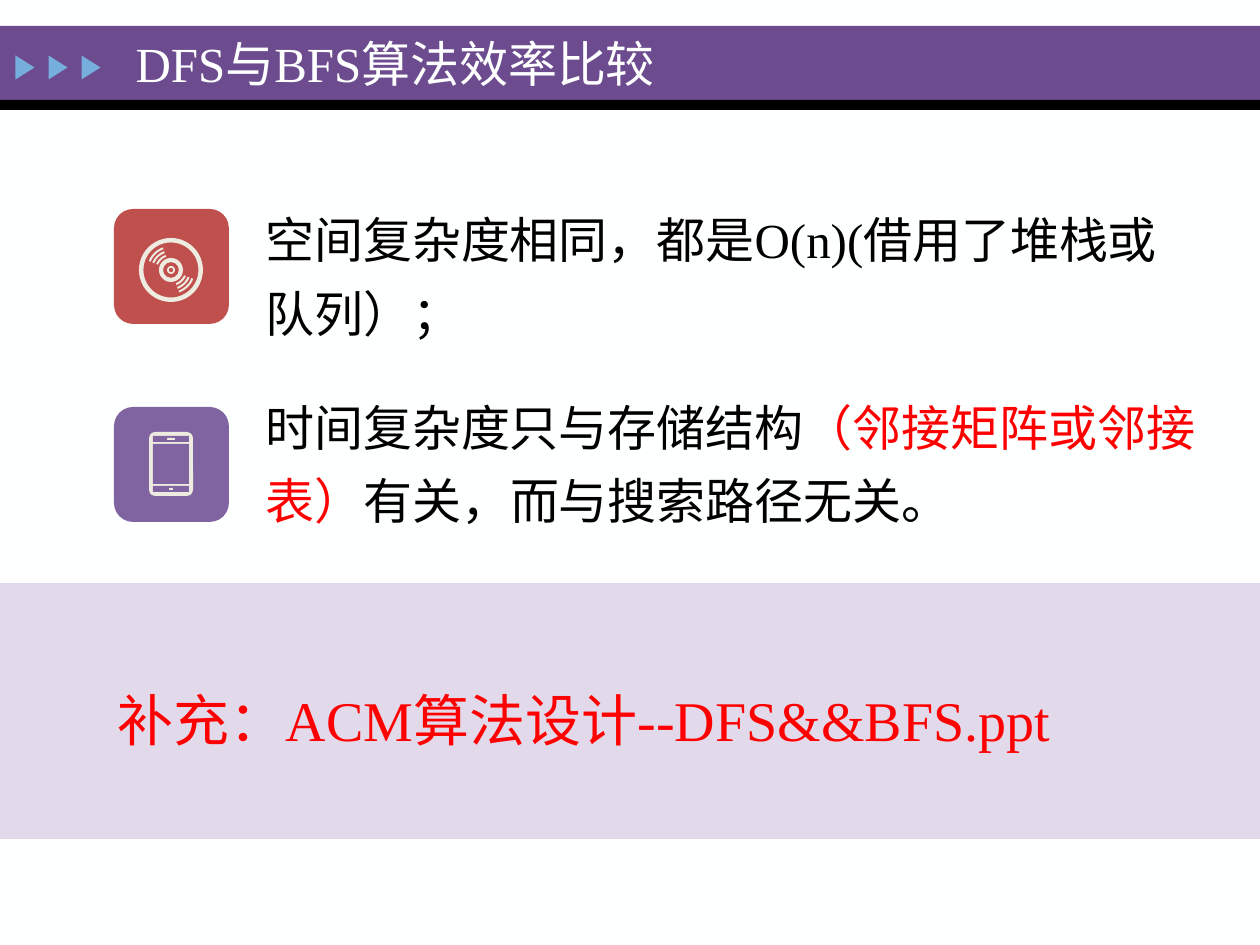
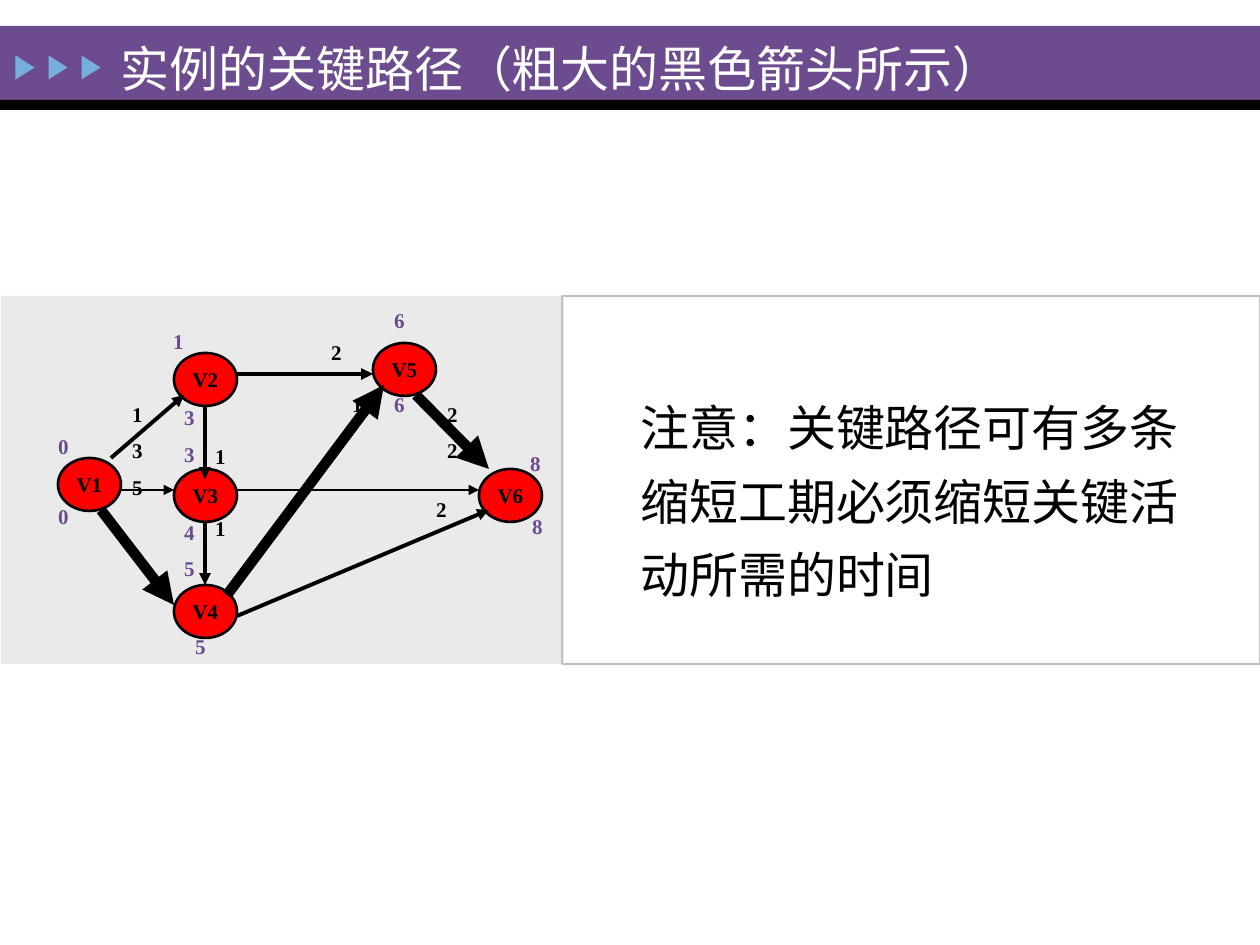
from math import cos, radians, sin

from lxml import etree
from pptx import Presentation
from pptx.dml.color import RGBColor
from pptx.enum.shapes import MSO_CONNECTOR, MSO_SHAPE
from pptx.enum.text import MSO_ANCHOR, MSO_AUTO_SIZE, PP_ALIGN
from pptx.oxml.ns import qn
from pptx.util import Pt

RECT, ROUND, OVAL = MSO_SHAPE.RECTANGLE, MSO_SHAPE.ROUNDED_RECTANGLE, MSO_SHAPE.OVAL
DONUT, TRIANGLE = MSO_SHAPE.DONUT, MSO_SHAPE.ISOSCELES_TRIANGLE
STRAIGHT = MSO_CONNECTOR.STRAIGHT
LEFT, CENTER = PP_ALIGN.LEFT, PP_ALIGN.CENTER
TOP, MIDDLE = MSO_ANCHOR.TOP, MSO_ANCHOR.MIDDLE
FIXED = MSO_AUTO_SIZE.NONE

SCALE = 914400 / 126
WIDTH, HEIGHT = 1260, 945
FONT = "Times New Roman"
COLORS = {
    "paper": "FEFFFF",
    "band": "6C4C8F",
    "black": "000000",
    "arrow": "76AEDD",
    "lilac": "E2D9EB",
    "red": "FF0000",
    "brick": "C0504D",
    "purple": "8064A2",
    "cream": "EEECE1",
    "gray": "EAEAEA",
    "edge": "C0C0C0",
}


def px(*values):
    return [round(value * SCALE) for value in values]


def rgb(name):
    return RGBColor.from_string(COLORS[name])


def paint(shape, fill=None, line=None, weight=1):
    shape.shadow.inherit = False
    if fill:
        shape.fill.solid()
        shape.fill.fore_color.rgb = rgb(fill)
    else:
        shape.fill.background()
    if line:
        shape.line.color.rgb = rgb(line)
        shape.line.width = Pt(weight)
    else:
        shape.line.fill.background()
    return shape


def block(slide, kind, box, fill=None, line=None, weight=1, adjust=None):
    shape = paint(slide.shapes.add_shape(kind, *px(*box)), fill, line, weight)
    if adjust is not None:
        shape.adjustments[0] = adjust
    return shape


def write(shape, paras, size=28, color="black", bold=False, align=LEFT,
          anchor=TOP, gap=0, spacing=1, wrap=True):
    frame = shape.text_frame
    frame.word_wrap = wrap
    frame.auto_size = FIXED
    frame.vertical_anchor = anchor
    for i, para in enumerate(paras):
        line = frame.add_paragraph() if i else frame.paragraphs[0]
        line.alignment = align
        line.line_spacing = spacing
        line.space_before = Pt(gap if i else 0)
        for part in [(para, color)] if isinstance(para, str) else para:
            run = line.add_run()
            run.text, tint = part
            run.font.name = FONT
            run.font.size = Pt(size)
            run.font.bold = bold
            run.font.color.rgb = rgb(tint)


def text(slide, box, paras, **style):
    write(slide.shapes.add_textbox(*px(*box)), paras, **style)


def title(slide, words, box):
    shape = slide.shapes.title
    shape.left, shape.top, shape.width, shape.height = px(*box)
    write(shape, [words], color="paper", anchor=MIDDLE)


def frame(slide):
    shapes = [
        block(slide, RECT, (0, 26, WIDTH, 75), "band"),
        block(slide, RECT, (0, 100, WIDTH, 10), "black"),
    ]
    for i in range(3):
        mark = block(slide, TRIANGLE, (13 + 33 * i, 58, 24, 19), "arrow")
        mark.rotation = 90
        shapes.append(mark)
    tree = slide.slide_layout.element.cSld.spTree
    for i, shape in enumerate(shapes):
        shape.element.nvSpPr.cNvPr.id = 20 + i
        tree.insert(2 + i, shape.element)


def stripe(slide, x, y, radius, start):
    angles = [radians(start + step) for step in range(0, 49, 6)]
    points = [(r * cos(a), r * sin(a))
              for r, arc in ((radius, angles), (radius + 2, angles[::-1]))
              for a in arc]
    spots = [px(x + dx, y + dy) for dx, dy in points]
    path = slide.shapes.build_freeform(*spots[0])
    path.add_line_segments(spots[1:], close=True)
    paint(path.convert_to_shape(), "cream")


def tile(slide, y, fill):
    block(slide, ROUND, (114, y, 115, 115), fill)


def disc(slide, x, y):
    for radius, ring in ((32, 0.07), (12, 0.17), (4, 0.22)):
        box = (x - radius, y - radius, 2 * radius, 2 * radius)
        block(slide, DONUT, box, "cream", adjust=ring)
    for start in (22, 202):
        for radius in (14, 18, 22):
            stripe(slide, x, y, radius, start)


def phone(slide, x, y):
    block(slide, ROUND, (x, y, 44, 64), "cream", adjust=0.14)
    for top, tall in ((4, 6), (12, 40), (54, 6)):
        block(slide, RECT, (x + 4, y + top, 36, tall), "purple")
    for left, top, wide in ((18, 6, 8), (20, 56, 4)):
        block(slide, ROUND, (x + left, y + top, wide, 2), "cream", adjust=0.5)


def node(slide, name, x, y):
    shape = block(slide, OVAL, (x, y, 63, 53), "red", "black", 1.5)
    write(shape, [name], size=12, bold=True, align=CENTER, anchor=MIDDLE, wrap=False)


def arrow(slide, ends, weight):
    link = slide.shapes.add_connector(STRAIGHT, *px(*ends))
    link.line.color.rgb = rgb("black")
    link.line.width = Pt(weight)
    props = link.element.spPr
    etree.SubElement(props.find(qn("a:ln")), qn("a:tailEnd"), type="triangle")
    etree.SubElement(props, qn("a:effectLst"))


def label(slide, words, x, y, color="band", gap=6.5):
    text(slide, (x, y, 73, 38 * len(words)), words, size=12, color=color,
         bold=True, align=CENTER, gap=gap)


def compare(slide):
    title(slide, "DFS与BFS算法效率比较", (123, 28, 704, 70))
    block(slide, RECT, (0, 583, WIDTH, 256), "lilac")
    text(slide, (253, 189, 956, 353), [
        "空间复杂度相同，都是O(n)(借用了堆栈或队列）；",
        [("时间复杂度只与存储结构", "black"),
         ("（邻接矩阵或邻接表）", "red"),
         ("有关，而与搜索路径无关。", "black")],
    ], gap=23, spacing=1.25)
    text(slide, (105, 675, 973, 71), ["补充：ACM算法设计--DFS&&BFS.ppt"],
         size=32, color="red", anchor=MIDDLE, spacing=1.25)
    tile(slide, 209, "brick")
    disc(slide, 171, 270)
    tile(slide, 407, "purple")
    phone(slide, 149, 432)


def route(slide):
    title(slide, "实例的关键路径（粗大的黑色箭头所示）", (108, 32, 1000, 72))
    block(slide, RECT, (1, 296, 563, 368), "gray")
    block(slide, RECT, (562, 296, 698, 368), line="edge", weight=0.75)
    for name, x, y in (("V1", 58, 458), ("V2", 174, 353), ("V3", 174, 469),
                       ("V4", 174, 585), ("V5", 373, 343), ("V6", 479, 469)):
        node(slide, name, x, y)
    for ends, weight in (
        ((237, 374, 373, 374), 2.25),
        ((237, 616, 489, 510), 2.25),
        ((101, 510, 174, 605), 6),
        ((121, 490, 174, 490), 1.5),
        ((205, 406, 205, 479), 2.25),
        ((237, 490, 479, 490), 1.5),
        ((111, 458, 184, 395), 2.25),
        ((416, 395, 489, 469), 6),
        ((227, 595, 384, 385), 6),
        ((205, 522, 205, 585), 2.25),
    ):
        arrow(slide, ends, weight)
    for word, x, y in (
        ("0", 27, 427), ("0", 27, 497), ("1", 142, 322), ("3", 153, 398),
        ("3", 153, 435), ("4", 153, 513), ("5", 153, 549), ("5", 164, 627),
        ("6", 363, 301), ("6", 363, 385), ("8", 499, 444), ("8", 501, 507),
    ):
        label(slide, [word], x, y)
    for words, x, y in ((["1", "3", "5"], 101, 395), (["2", "2"], 416, 395),
                        (["2"], 300, 333), (["2"], 405, 490), (["1"], 321, 385)):
        label(slide, words, x, y, "black")
    label(slide, ["1", "1"], 184, 437, "black", 27)
    text(slide, (628, 377, 590, 238),
         ["注意：关键路径可有多条缩短工期必须缩短关键活动所需的时间"], spacing=1.25)


def main():
    deck = Presentation()
    deck.slide_width, deck.slide_height = px(WIDTH, HEIGHT)
    ground = deck.slide_master.background.fill
    ground.solid()
    ground.fore_color.rgb = rgb("paper")
    layout = deck.slide_layouts[5]
    first, second = [deck.slides.add_slide(layout) for _ in range(2)]
    frame(first)
    compare(first)
    route(second)
    deck.save("out.pptx")


if __name__ == "__main__":
    main()
